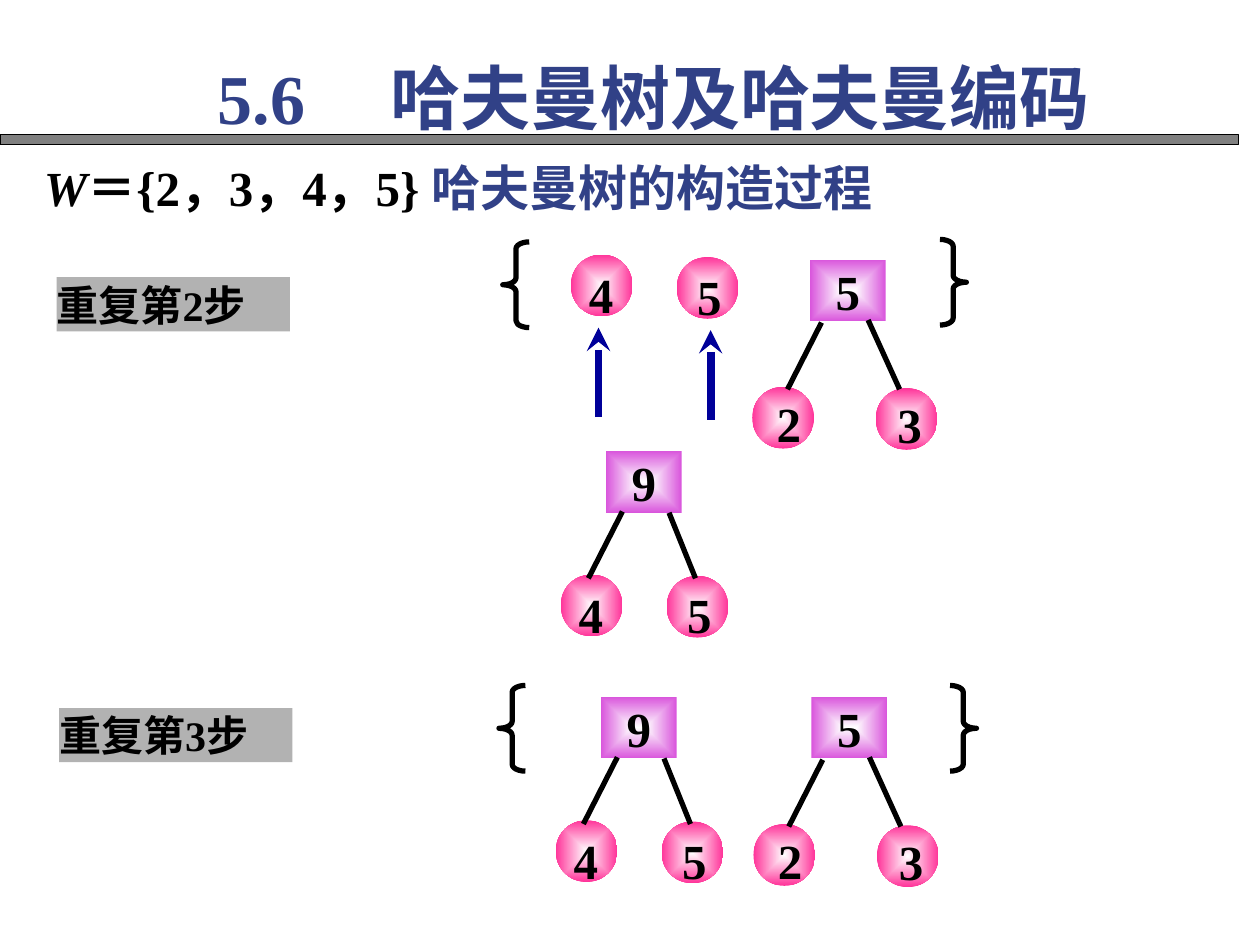
from typing import NamedTuple

import pptx
import pptx.dml.color
import pptx.enum.shapes
import pptx.enum.text
import pptx.oxml
import pptx.oxml.ns
import pptx.util
from lxml import etree

Inches = pptx.util.Inches
SHAPE = pptx.enum.shapes.MSO_SHAPE
ALIGN = pptx.enum.text.PP_ALIGN
LATIN, EAST_ASIAN = "Times New Roman", "Noto Sans CJK SC"
BLACK, NAVY, ARROW_BLUE = "000000", "314187", "000099"
PINK, VIOLET, STEP_GREY, BAR_GREY = "FF3399", "D955DC", "B2B2B2", "808080"
NODE_SIZE, ROOT_WIDTH = 0.49, 0.6


class Run(NamedTuple):
    text: str
    color: str = BLACK
    italic: bool = False


class Leaf(NamedTuple):
    digit: str
    dx: float
    dy: float


class Edge(NamedTuple):
    x1: float
    y1: float
    x2: float
    y2: float


class Tree(NamedTuple):
    weight: str
    leaves: tuple[Leaf, Leaf]
    edges: tuple[Edge, Edge]


NINE = Tree("9", (Leaf("4", -0.36, 0.98), Leaf("5", 0.48, 0.99)),
            (Edge(0.13, 0.48, -0.14, 1.01), Edge(0.5, 0.49, 0.71, 1.01)))
FIVE = Tree("5", (Leaf("2", -0.46, 1.01), Leaf("3", 0.52, 1.02)),
            (Edge(0.09, 0.5, -0.18, 1.03), Edge(0.46, 0.48, 0.71, 1.03)))
DIGIT_OFFSETS = {"2": (0.08, 0), "3": (0.06, 0), "4": (0.03, 0.03), "5": (0.05, 0.02)}

deck = pptx.Presentation()
deck.slide_width, deck.slide_height = Inches(10), Inches(7.5)
slide = deck.slides.add_slide(deck.slide_layouts[6])


def rgb(value: str) -> pptx.dml.color.RGBColor:
    return pptx.dml.color.RGBColor.from_string(value)


def place(*lengths: float) -> list[int]:
    return [Inches(length) for length in lengths]


def write(holder, runs: list[Run], size: float, align=ALIGN.CENTER,
          inset: tuple[float, float] = (0, 0), tab: float = 0) -> None:
    frame = holder.text_frame
    side, end = place(*inset)
    frame_format = {
        "word_wrap": True,
        "vertical_anchor": pptx.enum.text.MSO_ANCHOR.MIDDLE,
        "margin_left": side, "margin_right": side,
        "margin_top": end, "margin_bottom": end,
    }
    for attribute, value in frame_format.items():
        setattr(frame, attribute, value)
    paragraph = frame.paragraphs[0]
    paragraph.alignment = align
    if tab:
        stops = pptx.oxml.parse_xml(
            f'<a:tabLst {pptx.oxml.ns.nsdecls("a")}>'
            f'<a:tab pos="{Inches(tab)}" algn="l"/></a:tabLst>')
        paragraph._p.get_or_add_pPr().append(stops)
    for item in runs:
        run = paragraph.add_run()
        run.text = item.text
        font_format = {"name": LATIN, "size": pptx.util.Pt(size),
                       "bold": True, "italic": item.italic}
        for attribute, value in font_format.items():
            setattr(run.font, attribute, value)
        run.font.color.rgb = rgb(item.color)
        etree.SubElement(run._r.get_or_add_rPr(), pptx.oxml.ns.qn("a:ea"),
                         typeface=EAST_ASIAN)


def draw_shape(kind, x: float, y: float, width: float, height: float):
    shape = slide.shapes.add_shape(kind, *place(x, y, width, height))
    shape.shadow.inherit = False
    shape.line.fill.background()
    return shape


def draw_glowing(kind, x: float, y: float, width: float, edge_color: str):
    shape = draw_shape(kind, x, y, width, NODE_SIZE)
    shape.fill.gradient()
    for stop, color in zip(shape.fill.gradient_stops, ("FFFFFF", edge_color)):
        stop.color.rgb = rgb(color)
    linear = next(shape._element.iter(pptx.oxml.ns.qn("a:lin")))
    centred = pptx.oxml.parse_xml(
        f'<a:path {pptx.oxml.ns.nsdecls("a")} path="rect">'
        '<a:fillToRect l="50000" t="50000" r="50000" b="50000"/></a:path>')
    linear.getparent().replace(linear, centred)
    return shape


def draw_line(x1: float, y1: float, x2: float, y2: float,
              color: str = BLACK, width: float = 3, arrow: bool = False) -> None:
    line = slide.shapes.add_connector(
        pptx.enum.shapes.MSO_CONNECTOR.STRAIGHT, *place(x1, y1, x2, y2))
    line.line.color.rgb = rgb(color)
    line.line.width = pptx.util.Pt(width)
    if arrow:
        etree.SubElement(line.line._get_or_add_ln(), pptx.oxml.ns.qn("a:tailEnd"),
                         type="stealth")
    etree.SubElement(line._element.spPr, pptx.oxml.ns.qn("a:effectLst"))


def draw_text(x: float, y: float, width: float, height: float,
              runs: list[Run], size: float, **layout) -> None:
    box = slide.shapes.add_textbox(*place(x, y, width, height))
    write(box, runs, size, **layout)


def draw_leaf(digit: str, x: float, y: float) -> None:
    draw_glowing(SHAPE.OVAL, x, y, NODE_SIZE, PINK)
    dx, dy = DIGIT_OFFSETS[digit]
    draw_text(x + dx, y + dy, 0.42, 0.57, [Run(digit)], 28)


def draw_tree(tree: Tree, x: float, y: float) -> None:
    for leaf in tree.leaves:
        draw_leaf(leaf.digit, x + leaf.dx, y + leaf.dy)
    root = draw_glowing(SHAPE.RECTANGLE, x, y, ROOT_WIDTH, VIOLET)
    write(root, [Run(tree.weight)], 28)
    for edge in tree.edges:
        draw_line(x + edge.x1, y + edge.y1, x + edge.x2, y + edge.y2)


def draw_brace(kind, x: float, y: float) -> None:
    brace = draw_shape(kind, x, y, 0.21, 0.68)
    brace.adjustments[0] = 0.26
    brace.fill.background()
    brace.line.color.rgb = rgb(BLACK)
    brace.line.width = pptx.util.Pt(3)


def draw_step(text: str, x: float, y: float) -> None:
    step = draw_shape(SHAPE.RECTANGLE, x, y, 1.85, 0.43)
    step.fill.solid()
    step.fill.fore_color.rgb = rgb(STEP_GREY)
    write(step, [Run(text)], 24, align=ALIGN.LEFT)


def main() -> None:
    title_bar = draw_shape(SHAPE.RECTANGLE, 0, 1.07, 9.83, 0.08)
    title_bar.fill.solid()
    title_bar.fill.fore_color.rgb = rgb(BAR_GREY)
    title_bar.line.color.rgb = rgb(BLACK)
    title_bar.line.width = pptx.util.Pt(0.75)
    draw_text(0.25, 1.2, 9.25, 0.57,
              [Run("W", italic=True), Run("＝{2，3，4，5} "),
               Run("哈夫曼树的构造过程", NAVY)],
              28, align=ALIGN.LEFT, inset=(0.1, 0.05))
    draw_text(1.63, 0.38, 7.71, 0.77, [Run("5.6\t哈夫曼树及哈夫曼编码", NAVY)],
              40, align=ALIGN.LEFT, inset=(0.1, 0.05), tab=1.37)

    draw_step("重复第2步", 0.45, 2.2)
    draw_step("重复第3步", 0.47, 5.62)
    for kind, x, y in ((SHAPE.LEFT_BRACE, 3.99, 1.92), (SHAPE.RIGHT_BRACE, 7.46, 1.9),
                       (SHAPE.LEFT_BRACE, 3.96, 5.44), (SHAPE.RIGHT_BRACE, 7.54, 5.44)):
        draw_brace(kind, x, y)

    for digit, x, y, arrow_x in (("4", 4.53, 2.02, 4.75), ("5", 5.37, 2.04, 5.64)):
        draw_leaf(digit, x, y)
        draw_line(arrow_x, y + 1.29, arrow_x, y + 0.58, ARROW_BLUE, 4.5, arrow=True)
    for tree, x, y in ((FIVE, 6.43, 2.06), (NINE, 4.81, 3.58),
                       (NINE, 4.77, 5.53), (FIVE, 6.44, 5.53)):
        draw_tree(tree, x, y)
    deck.save("out.pptx")


if __name__ == "__main__":
    main()
